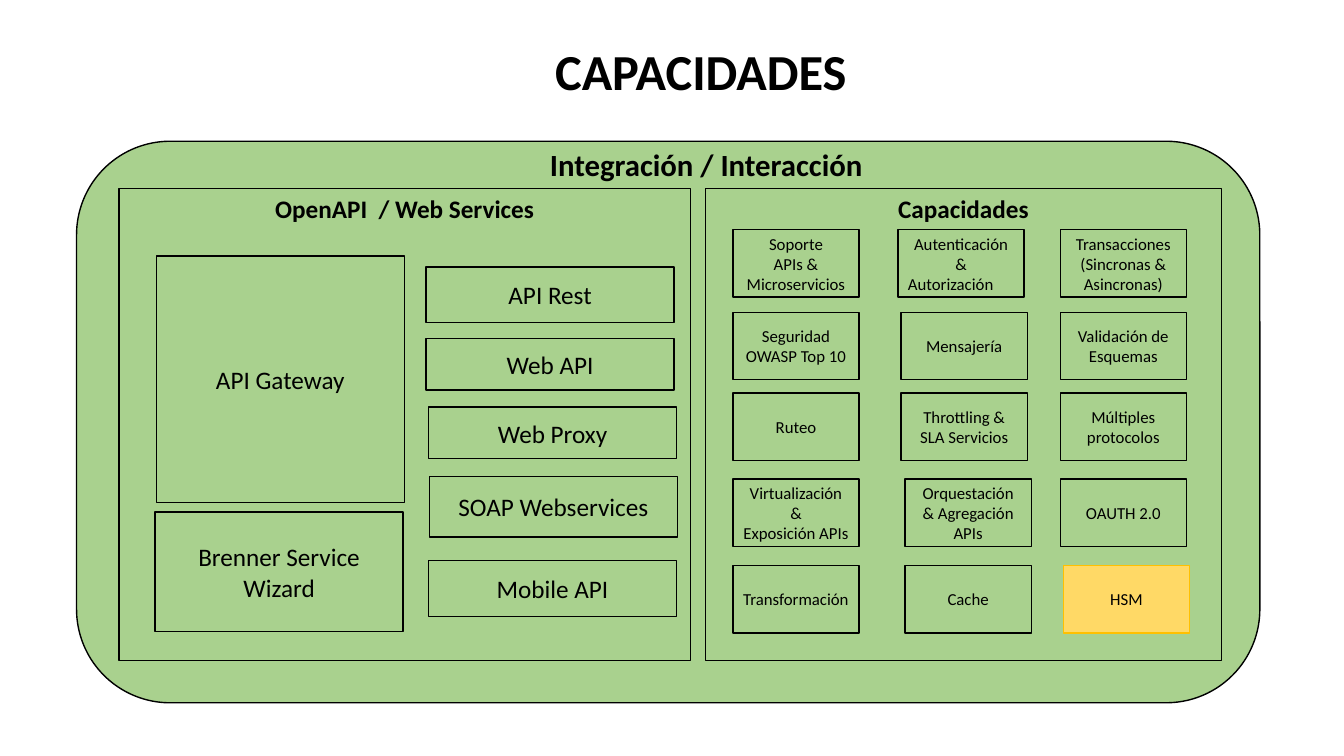
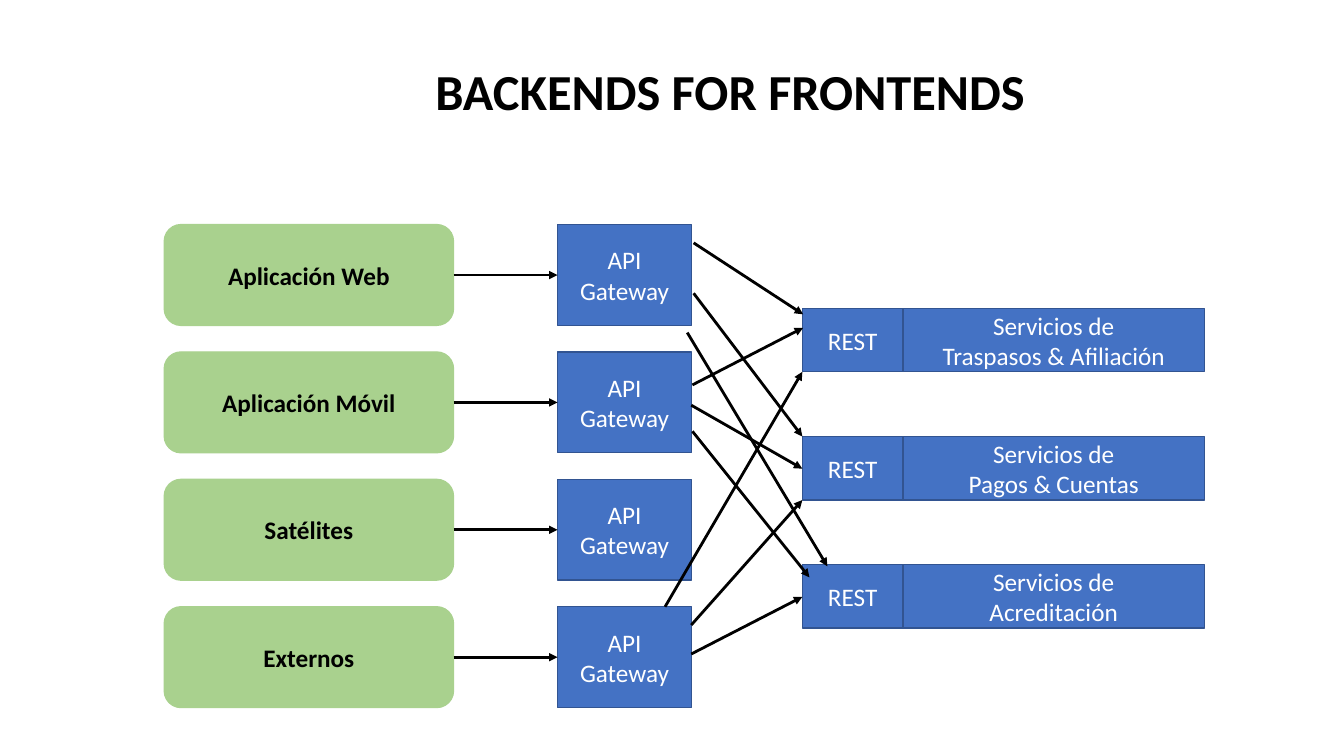
"""Build two slides on API capabilities and backends for frontends."""
from lxml.etree import SubElement
from pptx import Presentation
from pptx.dml.color import RGBColor
from pptx.enum.shapes import MSO_CONNECTOR as Conn, MSO_SHAPE as Kind
from pptx.enum.text import MSO_ANCHOR as Anchor, PP_ALIGN as Align
from pptx.oxml.ns import qn
from pptx.util import Cm, Pt

FONT = "Calibri"
HUES = {"ink": "000000", "paper": "FFFFFF", "green": "A9D18E", "blue": "4472C4",
        "navy": "325491", "sand": "FFD966", "gold": "FFC000"}

TITLES = [("CAPACIDADES", 13.74, 0.89, 8.23),
          ("BACKENDS FOR FRONTENDS", 10.72, 1.4, 15.52)]

PANELS = [("OpenAPI  / Web Services", 3, 14.4), ("Capacidades", 17.78, 13)]
TOOLS = [("API Gateway", 3.94, 6.45, 6.22),
         ("Brenner Service Wizard", 3.91, 12.9, 3.02),
         ("API Rest", 10.74, 6.73, 1.4),
         ("Web API", 10.74, 8.53, 1.3),
         ("Web Proxy", 10.8, 10.26, 1.3),
         ("SOAP Webservices", 10.82, 12.01, 1.52),
         ("Mobile API", 10.8, 14.12, 1.42)]
SKILLS = [
    (5.79, (18.47, 22.63, 26.72), ("Soporte\nAPIs & Microservicios",
                                   "Autenticación &\nAutorización",
                                   "Transacciones (Sincronas & Asincronas)")),
    (7.87, (18.47, 22.71, 26.72), ("Seguridad\nOWASP Top 10", "Mensajería",
                                   "Validación de Esquemas")),
    (9.9, (18.47, 22.71, 26.72), ("Ruteo", "Throttling &\nSLA Servicios",
                                  "Múltiples protocolos")),
    (12.07, (18.47, 22.81, 26.72), ("Virtualización &\nExposición APIs",
                                    "Orquestación & Agregación\nAPIs", "OAUTH 2.0")),
    (14.25, (18.47, 22.81, 26.8), ("Transformación", "Cache", "HSM"))]

APPS = ["Aplicación Web", "Aplicación Móvil", "Satélites", "Externos"]
DUTIES = ["Traspasos & Afiliación", "Pagos & Cuentas", "Acreditación"]
CALLS = [(17.42, 16.48, 20.22, 15.04), (17.42, 15.75, 20.22, 12.6),
         (16.76, 15.29, 20.22, 9.37), (17.48, 6.12, 20.24, 7.92),
         (17.48, 7.39, 20.22, 11), (17.32, 8.38, 20.85, 14.27),
         (17.45, 9.7, 20.24, 8.26), (17.42, 10.21, 20.22, 11.81),
         (17.45, 10.87, 20.4, 14.55)]


def hue(name):
    return RGBColor.from_string(HUES[name])


def write(frame, text, size, color="ink", bold=False, align=Align.CENTER):
    frame.text = text
    for para in frame.paragraphs:
        para.alignment = align
        font = para.font
        font.name, font.size, font.bold = FONT, Pt(size), bold
        font.color.rgb = hue(color)


def label(slide, text, x, y, w, h, size):
    frame = slide.shapes.add_textbox(Cm(x), Cm(y), Cm(w), Cm(h)).text_frame
    frame.word_wrap = False
    write(frame, text, size, bold=True, align=Align.LEFT)


def box(slide, text, x, y, w, h, size=18, fill=None, line="ink", color="ink",
        bold=False, kind=Kind.RECTANGLE, anchor=Anchor.MIDDLE):
    shape = slide.shapes.add_shape(kind, Cm(x), Cm(y), Cm(w), Cm(h))
    shape.shadow.inherit = False
    if fill:
        shape.fill.solid()
        shape.fill.fore_color.rgb = hue(fill)
    else:
        shape.fill.background()
    shape.line.color.rgb = hue(line)
    shape.line.width = Pt(1)
    frame = shape.text_frame
    frame.word_wrap = True
    frame.vertical_anchor = anchor
    if text:
        write(frame, text, size, color, bold)
    return shape


def arrow(slide, *ends):
    link = slide.shapes.add_connector(Conn.STRAIGHT, *map(Cm, ends))
    link.line.color.rgb = hue("ink")
    link.line.width = Pt(2)
    props = link._element.spPr
    SubElement(props.find(qn("a:ln")), qn("a:tailEnd"), type="triangle")
    SubElement(props, qn("a:effectLst"))


def skills(slide):
    box(slide, "", 1.93, 3.56, 29.82, 14.15, fill="green", kind=Kind.ROUNDED_RECTANGLE)
    label(slide, "Integración / Interacción", 13.61, 3.56, 8.48, 1.19, 22)
    for text, x, w in PANELS:
        box(slide, text, x, 4.75, w, 11.89, bold=True, anchor=Anchor.TOP)
    for text, x, y, h in TOOLS:
        box(slide, text, x, y, 6.25, h)
    for y, lefts, texts in SKILLS:
        for x, text in zip(lefts, texts):
            fill, line = ("sand", "gold") if text == "HSM" else (None, "ink")
            cell = box(slide, text, x, y, 3.18, 1.7, 12, fill, line)
            if text.endswith("Autorización"):
                cell.text_frame.paragraphs[-1].alignment = Align.LEFT


def backends(slide):
    blue = {"fill": "blue", "line": "navy", "color": "paper"}
    for i, app in enumerate(APPS):
        y = 5.66 + 3.21 * i
        box(slide, app, 4.14, y, 7.29, 2.54, fill="green", line="green", bold=True,
            kind=Kind.ROUNDED_RECTANGLE)
        box(slide, "API Gateway", 14.05, y, 3.38, 2.54, **blue)
        arrow(slide, 11.43, y + 1.27, 14.05, y + 1.27)
    for i, duty in enumerate(DUTIES):
        y = 7.77 + 3.23 * i
        box(slide, "REST", 20.22, y, 2.54, 1.6, **blue)
        box(slide, "Servicios de\n" + duty, 22.76, y, 7.59, 1.6, **blue)
    for ends in CALLS:
        arrow(slide, *ends)


deck = Presentation()
deck.slide_width, deck.slide_height = Cm(33.87), Cm(19.05)
for (title, x, y, w), draw in zip(TITLES, (skills, backends)):
    page = deck.slides.add_slide(deck.slide_layouts[6])
    label(page, title, x, y, w, 1.8, 36)
    draw(page)
deck.save("out.pptx")
